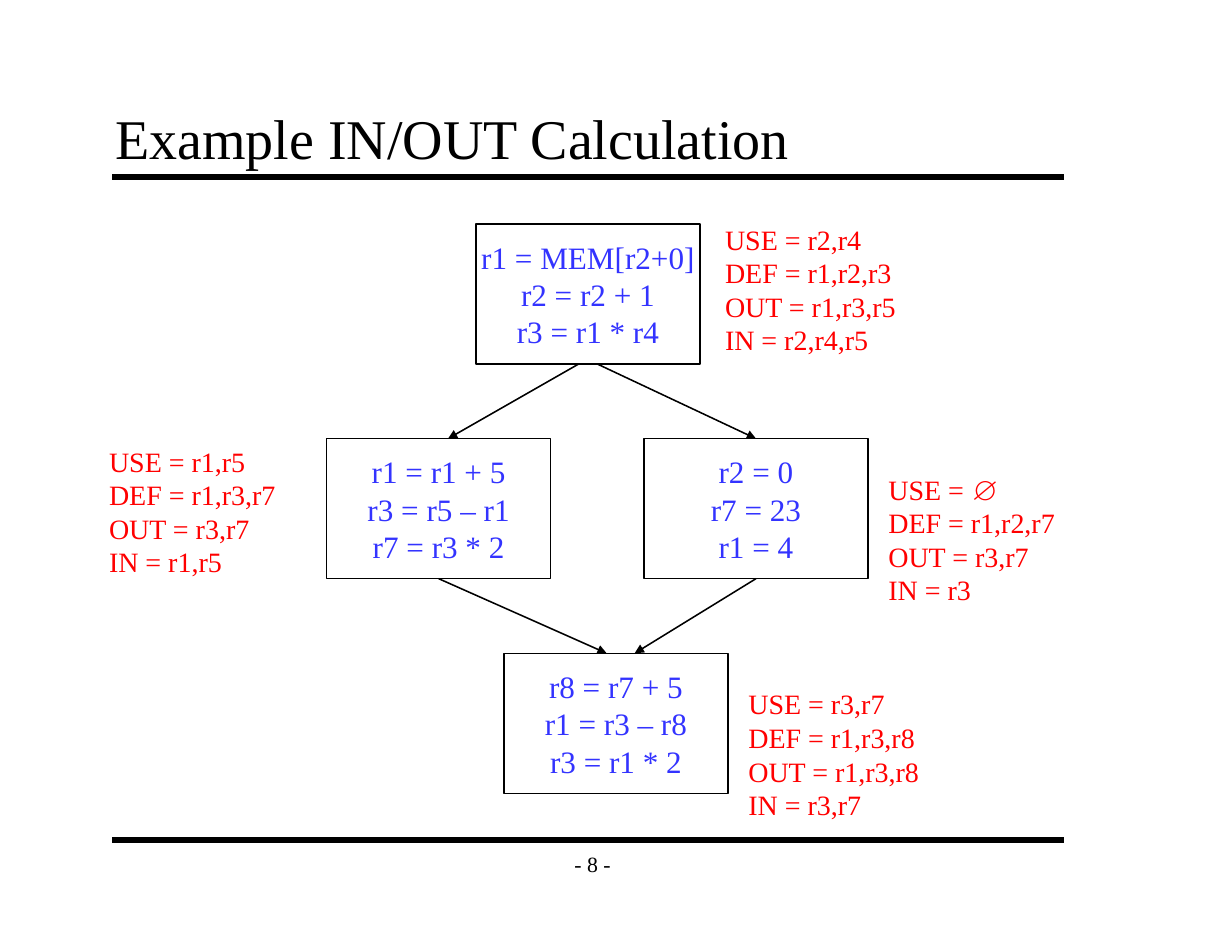
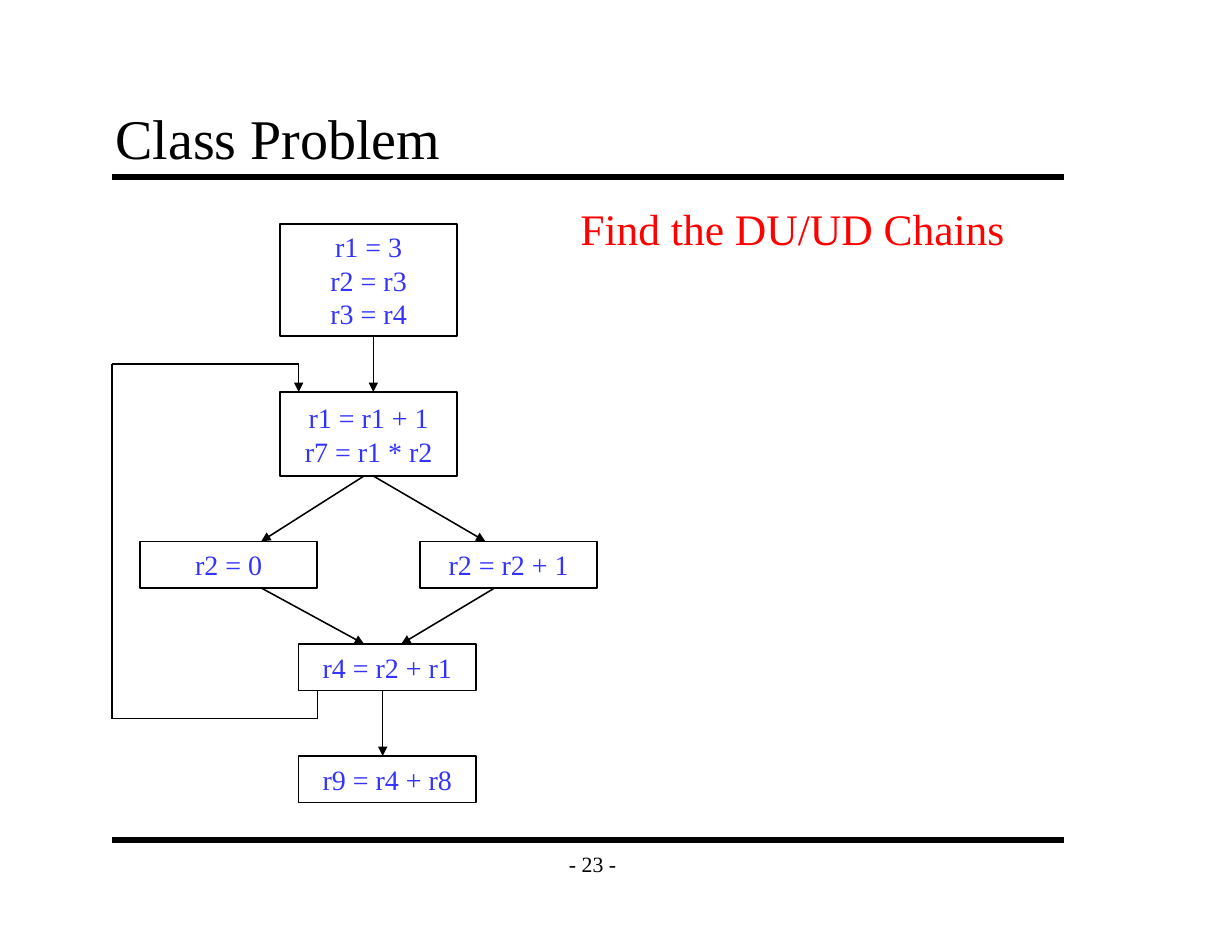
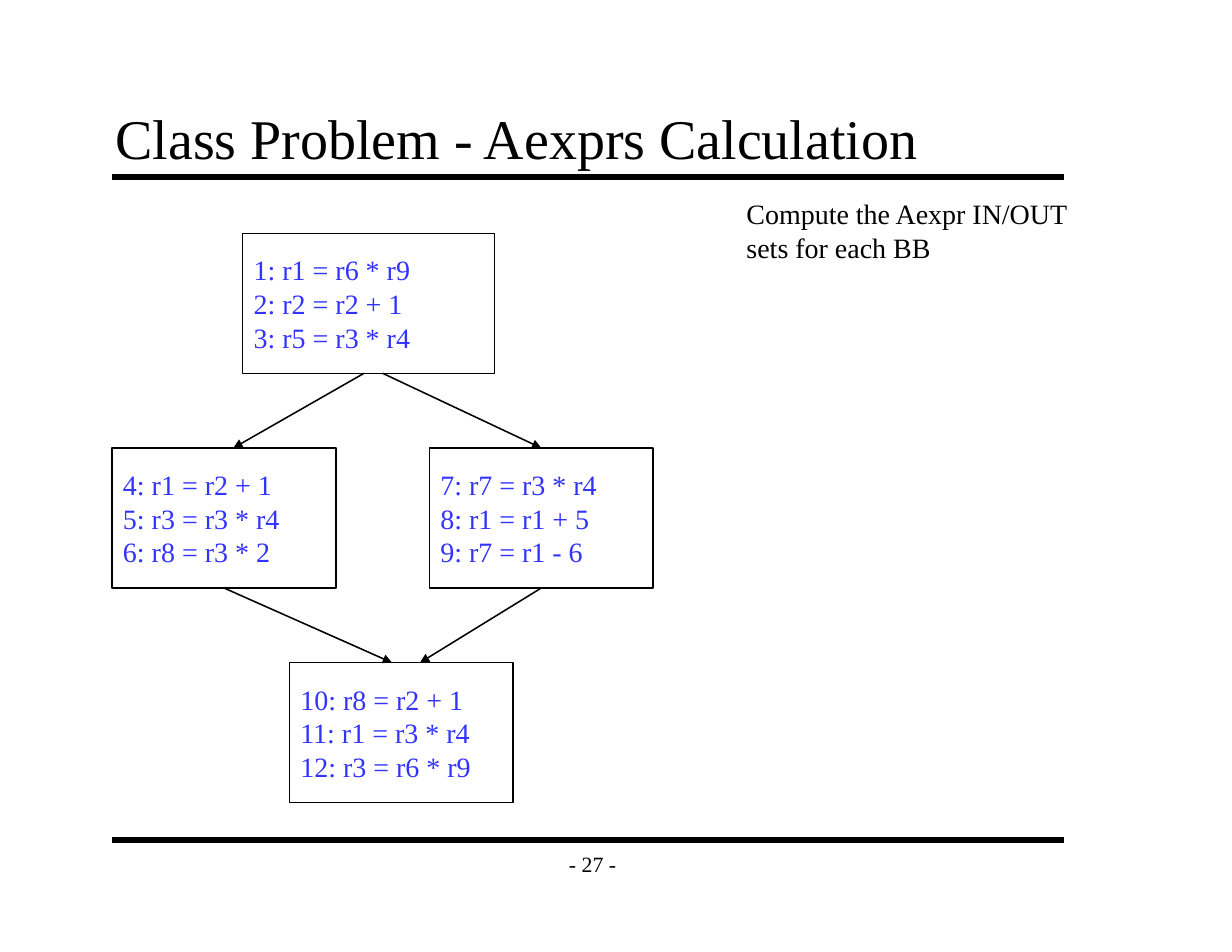
"""Build three slides of control flow graphs for dataflow analysis."""
import dataclasses
import itertools

import lxml.etree
import pptx
import pptx.dml.color
import pptx.enum.shapes
import pptx.enum.text
import pptx.oxml.ns
import pptx.slide
import pptx.text.text
import pptx.util

FONT = "Times New Roman"
BLACK = "000000"
BLUE = "3333FF"
RED = "FF0000"
LEFT = pptx.enum.text.PP_ALIGN.LEFT
MID = pptx.enum.text.PP_ALIGN.CENTER
ANCHOR = pptx.enum.text.MSO_ANCHOR
Point = tuple[float, float]


@dataclasses.dataclass(frozen=True)
class Block:
    """A basic block, placed in twelfths of an inch."""
    left: float
    top: float
    lines: tuple[str, ...]
    width: float = 24
    height: float = 15


@dataclasses.dataclass(frozen=True)
class Note:
    """A free text, placed in twelfths of an inch."""
    left: float
    top: float
    lines: tuple[str, ...]
    width: float = 20.9
    height: float = 15.7
    size: int = 18
    color: str = RED


@dataclasses.dataclass(frozen=True)
class Edge:
    """A straight line between two points."""
    start: Point
    end: Point
    arrow: bool = True
    weight: int = 1


def grid(count: float) -> pptx.util.Length:
    """Turn twelfths of an inch into a length."""
    return pptx.util.Cm(2.54 * count / 12)


def paint(code: str) -> pptx.dml.color.RGBColor:
    """Turn a hex string into a colour."""
    return pptx.dml.color.RGBColor.from_string(code)


def write(frame: pptx.text.text.TextFrame, lines: tuple[str, ...], size: int,
          color: str, align: pptx.enum.text.PP_ALIGN = LEFT) -> None:
    """Fill a frame with one paragraph per line."""
    frame.word_wrap = False
    for rank, line in enumerate(lines):
        para = frame.add_paragraph() if rank else frame.paragraphs[0]
        para.text = line
        para.alignment = align
        para.font.name = FONT
        para.font.size = pptx.util.Pt(size)
        para.font.color.rgb = paint(color)


def pad(frame: pptx.text.text.TextFrame) -> None:
    """Set the insets of the title and the page number."""
    frame.margin_left = frame.margin_right = pptx.util.Cm(0.29)
    frame.margin_top = frame.margin_bottom = pptx.util.Cm(0.15)


def add_block(slide: pptx.slide.Slide, block: Block, size: int,
              align: pptx.enum.text.PP_ALIGN) -> None:
    """Draw a basic block with its code."""
    shape = slide.shapes.add_shape(
        pptx.enum.shapes.MSO_SHAPE.RECTANGLE, grid(block.left),
        grid(block.top), grid(block.width), grid(block.height))
    shape.shadow.inherit = False
    shape.fill.background()
    shape.line.color.rgb = paint(BLACK)
    shape.line.width = pptx.util.Pt(1)
    shape.text_frame.vertical_anchor = ANCHOR.MIDDLE
    write(shape.text_frame, block.lines, size, BLUE, align)


def add_edge(slide: pptx.slide.Slide, edge: Edge) -> None:
    """Draw a line, with an arrowhead if asked."""
    line = slide.shapes.add_connector(
        pptx.enum.shapes.MSO_CONNECTOR.STRAIGHT,
        *map(grid, edge.start + edge.end))
    line.line.color.rgb = paint(BLACK)
    line.line.width = pptx.util.Pt(edge.weight)
    mark = pptx.oxml.ns.qn
    if edge.arrow:
        lxml.etree.SubElement(line.line._get_or_add_ln(), mark("a:tailEnd"),
                              type="triangle")
    lxml.etree.SubElement(line._element.spPr, mark("a:effectLst"))


def add_note(slide: pptx.slide.Slide, note: Note) -> None:
    """Draw a free text."""
    box = slide.shapes.add_textbox(grid(note.left), grid(note.top),
                                   grid(note.width), grid(note.height))
    write(box.text_frame, note.lines, note.size, note.color)
    box.text_frame.auto_size = pptx.enum.text.MSO_AUTO_SIZE.SHAPE_TO_FIT_TEXT


def add_slide(deck: pptx.presentation.Presentation, title: str,
              page: int) -> pptx.slide.Slide:
    """Add a slide with its rules, page number and title."""
    slide = deck.slides.add_slide(deck.slide_layouts[6])
    for top in (19, 90):
        add_edge(slide, Edge((12, top), (114, top), False, 4))
    foot = slide.shapes.add_textbox(grid(59), grid(90), grid(9), grid(5))
    pad(foot.text_frame)
    foot.text_frame.vertical_anchor = ANCHOR.MIDDLE
    write(foot.text_frame, (f"- {page} -",), 14, BLACK, MID)
    head = slide.shapes.add_textbox(grid(11), grid(11), grid(102), grid(8))
    pad(head.text_frame)
    head.text_frame.vertical_anchor = ANCHOR.BOTTOM
    write(head.text_frame, (title,), 36, BLACK)
    head.text_frame.word_wrap = True
    return slide


def add_graph(slide: pptx.slide.Slide, blocks: list[Block],
              edges: list[Edge], size: int,
              align: pptx.enum.text.PP_ALIGN = MID) -> None:
    """Draw the blocks and edges of a flow graph."""
    for block in blocks:
        add_block(slide, block, size, align)
    for edge in edges:
        add_edge(slide, edge)


def fork(left: float, top: float) -> list[Edge]:
    """Give the four edges that split and join around two blocks."""
    pairs = (((27, 15), (13, 23)), ((29, 15), (46, 23)),
             ((46, 38), (33, 46)), ((12, 38), (30, 46)))
    return [Edge((left + a, top + b), (left + c, top + d))
            for (a, b), (c, d) in pairs]


def show_sets(deck: pptx.presentation.Presentation) -> None:
    """Build the worked IN/OUT slide."""
    slide = add_slide(deck, "Example IN/OUT Calculation", 8)
    blocks = [
        Block(51, 24, ("r1 = MEM[r2+0]", "r2 = r2 + 1", "r3 = r1 * r4")),
        Block(35, 47, ("r1 = r1 + 5", "r3 = r5 – r1", "r7 = r3 * 2")),
        Block(69, 47, ("r2 = 0", "r7 = 23", "r1 = 4")),
        Block(54, 70, ("r8 = r7 + 5", "r1 = r3 – r8", "r3 = r1 * 2")),
    ]
    add_graph(slide, blocks, fork(35, 24), 20)
    notes = (
        (76.5, 23.2, "r2,r4", "r1,r2,r3", "r1,r3,r5", "r2,r4,r5"),
        (94, 50, "∅", "r1,r2,r7", "r3,r7", "r3"),
        (10.5, 47, "r1,r5", "r1,r3,r7", "r3,r7", "r1,r5"),
        (79, 73, "r3,r7", "r1,r3,r8", "r1,r3,r8", "r3,r7"),
    )
    for left, top, *sets in notes:
        lines = tuple(f"{name} = {regs}" for name, regs
                      in zip(("USE", "DEF", "OUT", "IN"), sets))
        add_note(slide, Note(left, top, lines))


def show_chains(deck: pptx.presentation.Presentation) -> None:
    """Build the DU/UD chain problem."""
    slide = add_slide(deck, "Class Problem", 23)
    blocks = [
        Block(30, 24, ("r1 = 3", "r2 = r3", "r3 = r4"), 19, 12),
        Block(30, 42, ("r1 = r1 + 1", "r7 = r1 * r2"), 19, 9),
        Block(15, 58, ("r2 = 0",), 19, 5),
        Block(45, 58, ("r2 = r2 + 1",), 19, 5),
        Block(32, 69, ("r4 = r2 + r1",), 19, 5),
        Block(32, 81, ("r9 = r4 + r8",), 19, 5),
    ]
    edges = [
        Edge((40, 36), (40, 42)),
        Edge((39, 51), (28, 58)),
        Edge((40, 51), (52, 58)),
        Edge((28, 63), (39, 69)),
        Edge((53, 63), (43, 69)),
        Edge((41, 74), (41, 81)),
    ]
    loop = ((34, 74), (34, 77), (12, 77), (12, 39), (32, 39), (32, 42))
    edges += [Edge(start, end, end == loop[-1])
              for start, end in itertools.pairwise(loop)]
    add_graph(slide, blocks, edges, 18)
    add_note(slide, Note(61, 21, ("Find the DU/UD Chains",), 47.9, 6.8, 28))


def show_exprs(deck: pptx.presentation.Presentation) -> None:
    """Build the available expression problem."""
    slide = add_slide(deck, "Class Problem - Aexprs Calculation", 27)
    blocks = [
        Block(26, 25, ("1: r1 = r6 * r9", "2: r2 = r2 + 1",
                       "3: r5 = r3 * r4"), 27),
        Block(12, 48, ("4: r1 = r2 + 1", "5: r3 = r3 * r4",
                       "6: r8 = r3 * 2")),
        Block(46, 48, ("7: r7 = r3 * r4", "8: r1 = r1 + 5",
                       "9: r7 = r1 - 6")),
        Block(31, 71, ("10: r8 = r2 + 1", "11: r1 = r3 * r4",
                       "12: r3 = r6 * r9")),
    ]
    add_graph(slide, blocks, fork(12, 25), 18, LEFT)
    add_note(slide, Note(78.8, 20.5, ("Compute the Aexpr IN/OUT",
                                      "sets for each BB"),
                         37, 8.4, color=BLACK))


def main() -> None:
    """Build and save the deck."""
    deck = pptx.Presentation()
    deck.slide_width = pptx.util.Cm(27.94)
    deck.slide_height = pptx.util.Cm(21.59)
    show_sets(deck)
    show_chains(deck)
    show_exprs(deck)
    deck.save("out.pptx")


if __name__ == "__main__":
    main()
